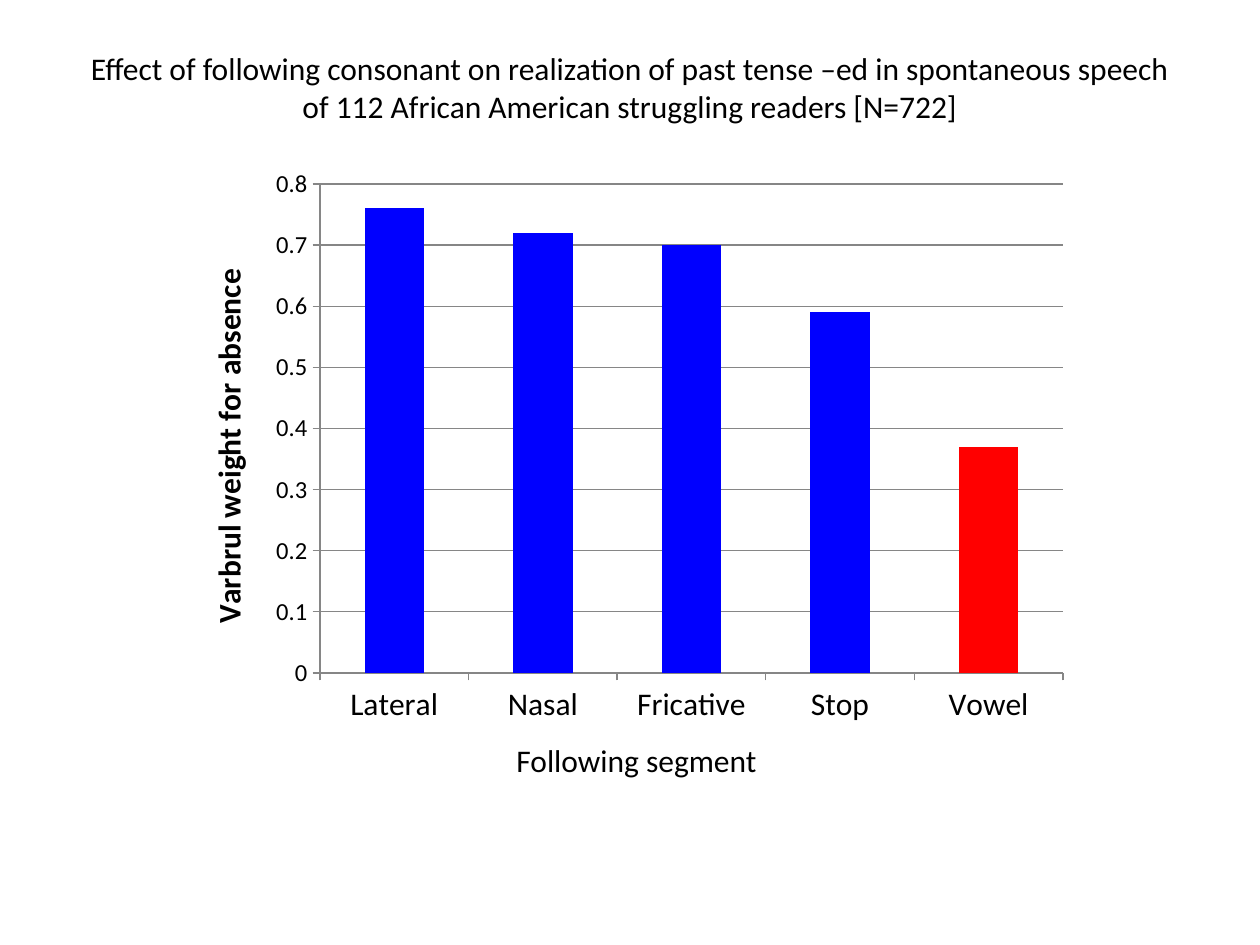
from dataclasses import dataclass

from lxml import etree
from pptx import Presentation
from pptx import util as u
from pptx.chart import data as cd
from pptx.dml import color
from pptx.enum import chart as ch
from pptx.enum import text
from pptx.oxml import ns

SCALE = 914400 / 126
FONT = "Calibri"
COLORS = {"text": "000000", "bar": "0000FF", "accent": "FF0000", "line": "868686"}


@dataclass(frozen=True)
class Box:
    x: int
    y: int
    w: int
    h: int


@dataclass(frozen=True)
class Label:
    box: Box
    words: str
    align: text.PP_ALIGN
    anchor: text.MSO_ANCHOR


@dataclass(frozen=True)
class Segment:
    name: str
    weight: float
    fill: str = "bar"


CHART = Box(179, 158, 903, 577)
PLOT = Box(320, 184, 743, 489)
LABELS = [
    Label(
        Box(63, 38, 1134, 98),
        "Effect of following consonant on realization of past tense –ed in "
        "spontaneous speech of 112 African American struggling readers [N=722]",
        text.PP_ALIGN.CENTER,
        text.MSO_ANCHOR.MIDDLE,
    ),
    Label(Box(504, 735, 399, 50), "Following segment", text.PP_ALIGN.LEFT, text.MSO_ANCHOR.TOP),
]
SEGMENTS = [
    Segment("Lateral", 0.76),
    Segment("Nasal", 0.72),
    Segment("Fricative", 0.7),
    Segment("Stop", 0.59),
    Segment("Vowel", 0.37, "accent"),
]


def px(n: int) -> u.Emu:
    return u.Emu(round(n * SCALE))


def place(b: Box) -> tuple:
    return px(b.x), px(b.y), px(b.w), px(b.h)


def rgb(name: str) -> color.RGBColor:
    return color.RGBColor.from_string(COLORS[name])


def set_font(font, size: int, bold: bool = False) -> None:
    font.name = FONT
    font.size = u.Pt(size)
    font.bold = bold
    font.color.rgb = rgb("text")


def set_line(line) -> None:
    line.color.rgb = rgb("line")
    line.width = u.Pt(0.75)


def add_label(slide, label: Label) -> None:
    tf = slide.shapes.add_textbox(*place(label.box)).text_frame
    tf.word_wrap = True
    tf.vertical_anchor = label.anchor
    p = tf.paragraphs[0]
    p.text = label.words
    p.alignment = label.align
    set_font(p.font, 18)


def set_plot_layout(chart, frame: Box, plot: Box) -> None:
    area = chart._chartSpace.find(".//" + ns.qn("c:plotArea"))
    for old in area.findall(ns.qn("c:layout")):
        area.remove(old)
    layout = etree.Element(ns.qn("c:layout"))
    manual = etree.SubElement(layout, ns.qn("c:manualLayout"))
    values = {
        "layoutTarget": "inner",
        "xMode": "edge",
        "yMode": "edge",
        "x": (plot.x - frame.x) / frame.w,
        "y": (plot.y - frame.y) / frame.h,
        "w": plot.w / frame.w,
        "h": plot.h / frame.h,
    }
    for tag, value in values.items():
        etree.SubElement(manual, ns.qn(f"c:{tag}")).set("val", str(value))
    area.insert(0, layout)


def add_weights_chart(slide, segments: list[Segment]) -> None:
    data = cd.CategoryChartData()
    data.categories = [s.name for s in segments]
    data.add_series("Series 1", [s.weight for s in segments])
    chart = slide.shapes.add_chart(ch.XL_CHART_TYPE.COLUMN_CLUSTERED, *place(CHART), data).chart
    chart.has_legend = False
    chart.has_title = False
    set_font(chart.font, 10)

    plot = chart.plots[0]
    plot.gap_width = 150
    plot.vary_by_categories = False
    series = plot.series[0]
    series.format.fill.solid()
    series.format.fill.fore_color.rgb = rgb("bar")
    for i, s in enumerate(segments):
        if s.fill != "bar":
            fill = series.points[i].format.fill
            fill.solid()
            fill.fore_color.rgb = rgb(s.fill)

    for axis, size in ((chart.category_axis, 18), (chart.value_axis, 14)):
        axis.major_tick_mark = ch.XL_TICK_MARK.OUTSIDE
        axis.minor_tick_mark = ch.XL_TICK_MARK.NONE
        set_font(axis.tick_labels.font, size)
        set_line(axis.format.line)

    axis = chart.value_axis
    axis.minimum_scale, axis.maximum_scale, axis.major_unit = 0, 0.8, 0.1
    axis.has_major_gridlines = True
    set_line(axis.major_gridlines.format.line)
    p = axis.axis_title.text_frame.paragraphs[0]
    p.text = "Varbrul weight for absence"
    set_font(p.font, 18, bold=True)
    set_plot_layout(chart, CHART, PLOT)


def main() -> None:
    prs = Presentation()
    prs.slide_width, prs.slide_height = px(1260), px(945)
    slide = prs.slides.add_slide(prs.slide_layouts[6])
    add_weights_chart(slide, SEGMENTS)
    for label in LABELS:
        add_label(slide, label)
    prs.save("out.pptx")


if __name__ == "__main__":
    main()
